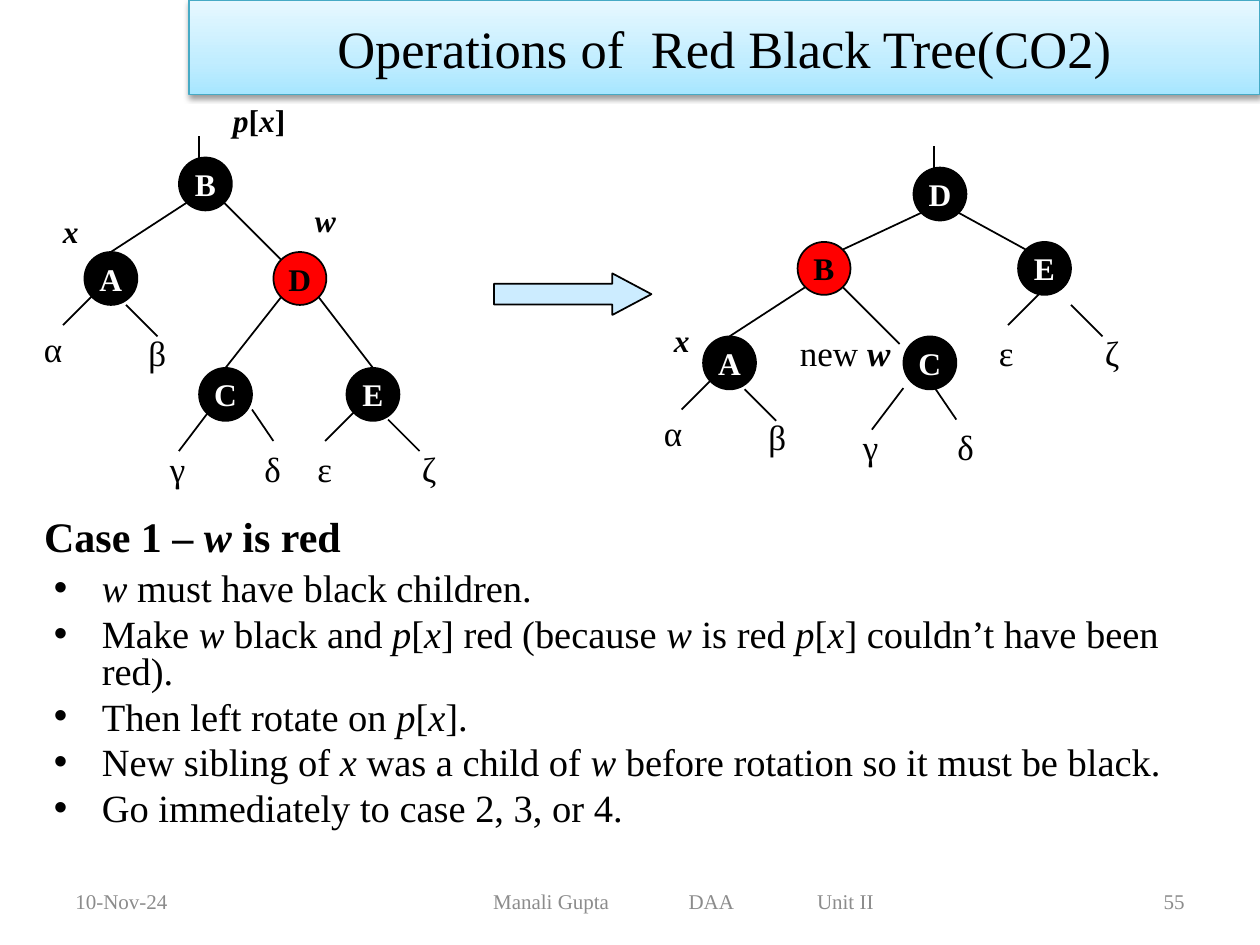
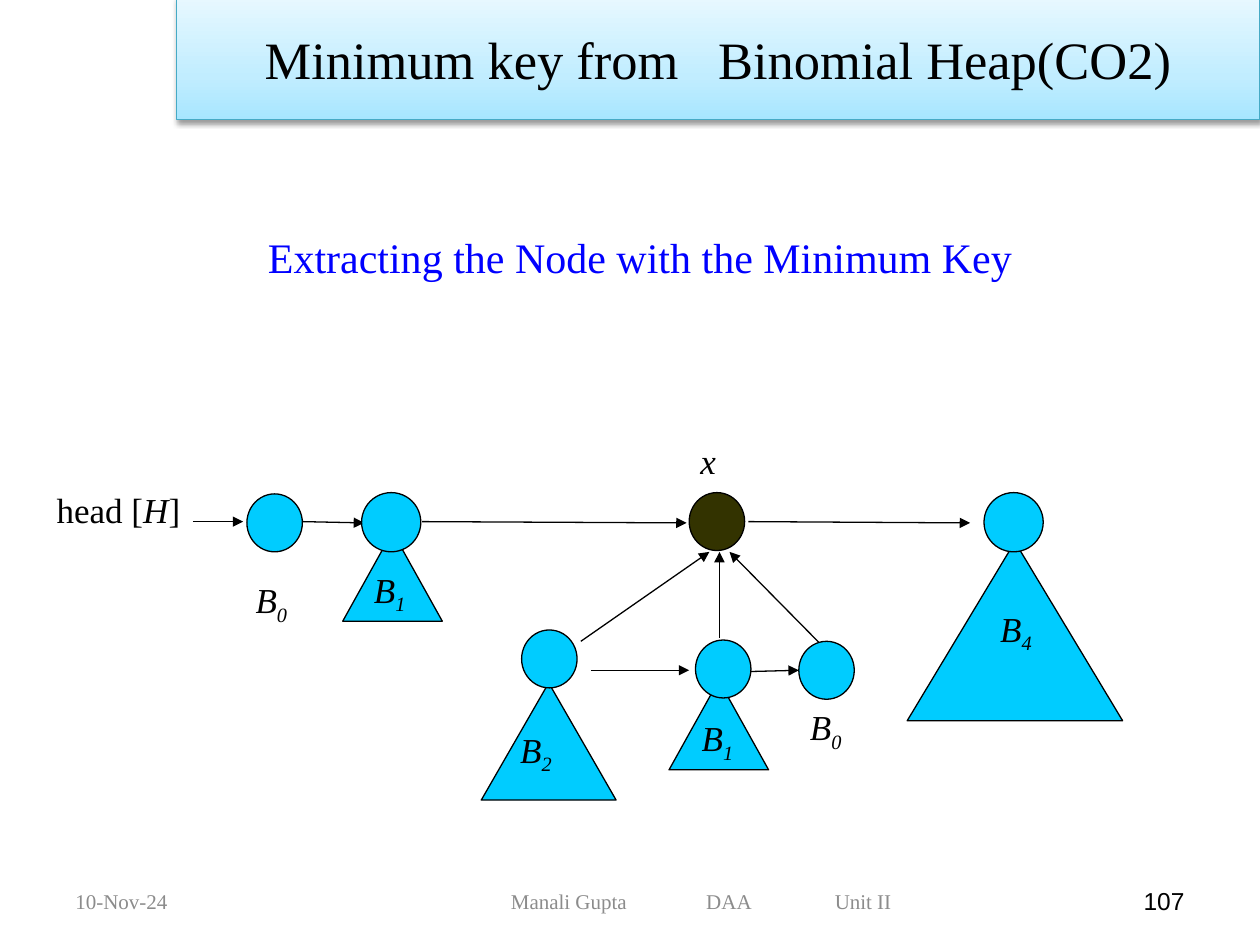
from dataclasses import dataclass

from lxml import etree
from pptx import Presentation
from pptx.dml.color import RGBColor
from pptx.enum.shapes import MSO_CONNECTOR, MSO_SHAPE
from pptx.enum.text import MSO_ANCHOR, MSO_AUTO_SIZE, PP_ALIGN
from pptx.oxml import parse_xml
from pptx.oxml.ns import nsdecls, qn
from pptx.util import Inches, Pt

SERIF = "Times New Roman"
BLACK, WHITE, RED = "000000", "FFFFFF", "FF0000"
GREY, BLUE, HEAP_BLUE, DARK_NODE = "8C8C8C", "0000FF", "00CCFF", "333300"
ARROW_BLUE, BANNER_LINE = "CCECFF", "46AAC5"
BANNER_STOPS = [(0, "A7E6FF"), (35, "C1EDFF"), (100, "E7F8FF")]
FOOTER_TEXT_WIDTH = 3.01
FOOTER_TABS = [1.55, 2.57]
NODE_SIZE = 0.42
TOP, NEAR_LEFT, NEAR_RIGHT = (0.21, 0), (0.06, 0.06), (0.36, 0.06)


@dataclass
class Box:
    left: float
    top: float
    width: float
    height: float

    def inner(self, left, top, width=0, height=0):
        """A box placed relative to this one."""
        return Box(self.left + left, self.top + top, width, height)

    def lengths(self):
        return [Inches(v) for v in (self.left, self.top, self.width, self.height)]


def colour(value):
    return RGBColor.from_string(value)


def style_run(run, size, text_colour=BLACK, bold=False, italic=False, font=SERIF):
    run.font.name = font
    run.font.size = Pt(size)
    run.font.bold = bold
    run.font.italic = italic
    run.font.color.rgb = colour(text_colour)


def write(paragraph, text, size, text_colour=BLACK, bold=False, font=SERIF):
    """Write text in which asterisks switch italics on and off."""
    for index, piece in enumerate(text.split("*")):
        if piece:
            run = paragraph.add_run()
            run.text = piece
            style_run(run, size, text_colour, bold, index % 2 == 1, font)


def add_text(slide, box, text, size, text_colour=BLACK, bold=False, font=SERIF,
             align=PP_ALIGN.LEFT, anchor=MSO_ANCHOR.TOP, wrap=False):
    text_frame = slide.shapes.add_textbox(*box.lengths()).text_frame
    text_frame.word_wrap = wrap
    text_frame.vertical_anchor = anchor
    text_frame.paragraphs[0].alignment = align
    write(text_frame.paragraphs[0], text, size, text_colour, bold, font)
    return text_frame


def add_preset(slide, kind, box, fill, line=BLACK, line_width=1.0):
    shape = slide.shapes.add_shape(kind, *box.lengths())
    shape.shadow.inherit = False
    if fill:
        shape.fill.solid()
        shape.fill.fore_color.rgb = colour(fill)
    shape.line.color.rgb = colour(line)
    shape.line.width = Pt(line_width)
    return shape


def add_line(slide, box, start, end, width=1.0, arrow=False):
    first, last = box.inner(*start), box.inner(*end)
    connector = slide.shapes.add_connector(
        MSO_CONNECTOR.STRAIGHT, Inches(first.left), Inches(first.top),
        Inches(last.left), Inches(last.top))
    connector.line.color.rgb = colour(BLACK)
    connector.line.width = Pt(width)
    properties = connector._element.spPr
    if arrow:
        etree.SubElement(properties.find(qn("a:ln")), qn("a:tailEnd"), type="triangle")
    etree.SubElement(properties, qn("a:effectLst"))


def add_banner(slide, box, before, after, extra_gap):
    """Gradient title band; extra_gap in points widens the space between its texts."""
    banner = add_preset(slide, MSO_SHAPE.RECTANGLE, box, None, BANNER_LINE, 0.75)
    banner.fill.gradient()
    properties = banner._element.spPr
    stops = "".join(f'<a:gs pos="{position * 1000}"><a:srgbClr val="{value}"/></a:gs>'
                    for position, value in BANNER_STOPS)
    gradient = parse_xml(f'<a:gradFill {nsdecls("a")} rotWithShape="1"><a:gsLst>{stops}'
                         '</a:gsLst><a:lin ang="16200000" scaled="0"/></a:gradFill>')
    properties.replace(properties.find(qn("a:gradFill")), gradient)
    shadow = parse_xml(
        f'<a:effectLst {nsdecls("a")}><a:outerShdw blurRad="40000" dist="20000" dir="5400000" '
        'rotWithShape="0"><a:srgbClr val="000000"><a:alpha val="38000"/></a:srgbClr>'
        '</a:outerShdw></a:effectLst>')
    properties.replace(properties.find(qn("a:effectLst")), shadow)
    banner.text_frame.vertical_anchor = MSO_ANCHOR.MIDDLE
    paragraph = banner.text_frame.paragraphs[0]
    paragraph.alignment = PP_ALIGN.CENTER
    for text in (before, " ", after):
        write(paragraph, text, 30)
    paragraph.runs[1].font._element.set("spc", str(round(extra_gap * 100)))


def add_footer(slide, number, centre_width, number_size=12, number_colour=GREY,
               number_font=SERIF):
    row = Box(0.5, 6.95, 9, 0.4)
    middle = {"anchor": MSO_ANCHOR.MIDDLE, "wrap": True}
    add_text(slide, row.inner(0, 0, 2.33, 0.4), "10-Nov-24", 12, GREY, **middle)
    add_text(slide, row.inner(6.67, 0, 2.33, 0.4), number, number_size, number_colour,
             font=number_font, align=PP_ALIGN.RIGHT, **middle)
    text_frame = add_text(slide, row.inner(2.92, 0, centre_width, 0.4), "", 12, **middle)
    text_frame.margin_left = Inches((centre_width - FOOTER_TEXT_WIDTH) / 2)
    text_frame.margin_right = 0
    paragraph = text_frame.paragraphs[0]
    tabs = etree.SubElement(paragraph._p.get_or_add_pPr(), qn("a:tabLst"))
    for position in FOOTER_TABS:
        etree.SubElement(tabs, qn("a:tab"), pos=str(Inches(position)), algn="l")
    write(paragraph, "Manali Gupta\tDAA\tUnit II", 12, GREY)


def format_title(slide, box, text, size, text_colour=BLACK, bold=False,
                 align=PP_ALIGN.LEFT):
    title = slide.shapes.title
    title.left, title.top, title.width, title.height = box.lengths()
    text_frame = title.text_frame
    text_frame.auto_size = MSO_AUTO_SIZE.NONE
    text_frame.vertical_anchor = MSO_ANCHOR.MIDDLE
    text_frame.paragraphs[0].alignment = align
    write(text_frame.paragraphs[0], text, size, text_colour, bold)


def add_bullets(slide, box, items):
    text_frame = add_text(slide, box, "", 22, wrap=True)
    for index, item in enumerate(items):
        paragraph = text_frame.add_paragraph() if index else text_frame.paragraphs[0]
        properties = paragraph._p.get_or_add_pPr()
        properties.set("marL", str(Inches(0.38)))
        properties.set("indent", str(-Inches(0.38)))
        etree.SubElement(properties, qn("a:buFont"), typeface="Arial")
        etree.SubElement(properties, qn("a:buChar"), char="•")
        paragraph.line_spacing = 0.8
        if index:
            paragraph.space_before = Pt(5)
        write(paragraph, item, 22)


def add_red_black_tree(slide, box, nodes, root, red, edges, twigs, leaves):
    """Nodes by name; edges end at an offset in the child, twigs start at one in a node."""
    def spot(name, offset):
        return nodes[name][0] + offset[0], nodes[name][1] + offset[1]

    add_line(slide, box, spot(root, (0.16, -0.17)), spot(root, (0.16, 0)))
    for parent, child, end in edges:
        side = 0.06 if nodes[child][0] < nodes[parent][0] else 0.36
        add_line(slide, box, spot(parent, (side, 0.36)), spot(child, end))
    for name, start, (across, down) in twigs:
        x, y = spot(name, start)
        add_line(slide, box, (x, y), (x + across, y + down))
    for name, position in nodes.items():
        node = add_preset(slide, MSO_SHAPE.OVAL, box.inner(*position, NODE_SIZE, NODE_SIZE),
                          RED if name == red else BLACK)
        node.text_frame.word_wrap = False
        node.text_frame.vertical_anchor = MSO_ANCHOR.MIDDLE
        node.text_frame.paragraphs[0].alignment = PP_ALIGN.CENTER
        write(node.text_frame.paragraphs[0], name, 18, BLACK if name == red else WHITE, True)
    for letter, (x, y, width) in zip("αβγδεζ", leaves):
        add_text(slide, box.inner(x, y, width, 0.43), letter, 20)


def add_heap_node(slide, box, node, fill=HEAP_BLUE, triangle=None, degree=None, label=None):
    """Node circle with an optional subtree triangle and label B with its degree."""
    if triangle:
        add_preset(slide, MSO_SHAPE.ISOSCELES_TRIANGLE, box.inner(*triangle), HEAP_BLUE,
                   line_width=0.75)
    add_preset(slide, MSO_SHAPE.OVAL, box.inner(*node), fill, line_width=0.75)
    if label:
        paragraph = add_text(slide, box.inner(*label, 0.43), "*B*", 20).paragraphs[0]
        write(paragraph, f"*{degree}*", 20)
        paragraph.runs[1].font._element.set("baseline", "-25000")


def build_red_black_slide(slide):
    format_title(slide, Box(0.25, 3.87, 10, 0.77), "Case 1 – *w* is red", 24, bold=True)
    add_bullets(slide, Box(0.33, 4.5, 9.25, 2.42), [
        "*w *must have black children.",
        "Make *w *black and *p*[*x*] red (because *w* is red *p*[*x*] couldn’t have been red).",
        "Then left rotate on *p*[*x*].",
        "New sibling of *x *was a child of *w *before rotation so it must be black.",
        "Go immediately to case 2, 3, or 4.",
    ])
    down_left, down_right = (-0.25, 0.25), (0.25, 0.25)
    steep_left, steep_right = (-0.25, 0.33), (0.17, 0.25)
    twigs_of_a = [("A", (0.08, 0.33), down_left), ("A", (0.33, 0.42), down_right)]

    before = Box(0.25, 0.75, 3.4, 3.2)
    add_red_black_tree(
        slide, before,
        {"B": (1.17, 0.5), "A": (0.42, 1.25), "D": (1.92, 1.25),
         "C": (1.33, 2.17), "E": (2.5, 2.17)},
        "B", "D",
        [("B", "A", TOP), ("B", "D", NEAR_LEFT), ("D", "C", TOP), ("D", "E", TOP)],
        twigs_of_a + [("C", (0.09, 0.33), steep_left), ("C", (0.42, 0.33), steep_right),
                      ("E", (0.08, 0.33), down_left), ("E", (0.33, 0.41), down_right)],
        [(0, 1.8, 0.38), (0.83, 1.83, 0.35), (1, 2.75, 0.32),
         (1.75, 2.75, 0.34), (2.17, 2.75, 0.32), (3, 2.75, 0.34)])
    after = Box(5.17, 1.17, 3.9, 2.6)
    add_red_black_tree(
        slide, after,
        {"D": (2.08, 0.16), "B": (1.16, 0.75), "A": (0.41, 1.5),
         "C": (2, 1.5), "E": (2.91, 0.75)},
        "D", "B",
        [("D", "B", NEAR_RIGHT), ("D", "E", NEAR_LEFT), ("B", "A", TOP),
         ("B", "C", (-0.03, 0.06))],
        twigs_of_a + [("C", (0, 0.41), steep_left), ("C", (0.25, 0.41), steep_right),
                      ("E", (0.17, 0.41), down_left), ("E", (0.42, 0.5), down_right)],
        [(0, 2.05, 0.38), (0.83, 2.08, 0.35), (1.58, 2.16, 0.32),
         (2.33, 2.16, 0.34), (2.66, 1.41, 0.32), (3.5, 1.41, 0.34)])
    for tree, text, x, y, width in [(before, "*x*", 0.15, 0.88, 0.37),
                                    (before, "*w*", 2.15, 0.8, 0.42),
                                    (before, "*p*[*x*]", 1.5, 0, 0.76),
                                    (after, "*x*", 0.08, 1.33, 0.37)]:
        add_text(slide, tree.inner(x, y, width, 0.5), text, 18, bold=True)
    new_sibling = add_text(slide, after.inner(1.08, 1.41, 1, 0.43), "new *w*", 20)
    new_sibling.paragraphs[0].runs[1].font.bold = True

    rotation = add_preset(slide, MSO_SHAPE.RIGHT_ARROW, Box(3.92, 2.17, 1.25, 0.33), ARROW_BLUE)
    rotation.adjustments[0], rotation.adjustments[1] = 0.5, 0.94
    add_footer(slide, "55", 4)
    add_banner(slide, Box(1.5, 0, 8.5, 0.75), "Operations of", "Red Black Tree(CO2)", 7.5)


def add_heap_diagram(slide, box):
    for start, end in [
        ((1.18, 0.7), (1.58, 0.7)), ((2.05, 0.7), (2.54, 0.71)), ((3, 0.7), (5.1, 0.71)),
        ((5.59, 0.7), (7.35, 0.71)), ((4.34, 1.88), (5.12, 1.88)),
        ((5.59, 1.89), (5.99, 1.88)), ((4.26, 1.65), (5.28, 0.94)),
        ((5.36, 1.62), (5.36, 0.94)), ((6.2, 1.71), (5.44, 0.94)),
    ]:
        add_line(slide, box, start, end, 0.75, arrow=True)
    add_text(slide, box.inner(0, 0.39, 1.18, 0.43), "head [*H*]", 20)
    add_text(slide, box.inner(5.11, 0, 0.32, 0.43), "*x*", 20)
    small, large = (0.44, 0.46), (0.47, 0.47)
    add_heap_node(slide, box, (5.12, 0.47, *small), DARK_NODE)
    for node, triangle, degree, label in [
        ((1.61, 0.48, *small), None, 0, (1.58, 1.1, 0.46)),
        ((2.52, 0.47, *large), (2.37, 0.78, 0.79, 0.71), 1, (2.52, 1.02, 0.46)),
        ((3.79, 1.56, *small), (3.47, 1.98, 1.07, 0.93), 2, (3.68, 2.29, 0.46)),
        ((5.17, 1.64, *small), (4.96, 1.96, 0.79, 0.71), 1, (5.12, 2.2, 0.46)),
        ((5.99, 1.65, *small), None, 0, (5.98, 2.11, 0.46)),
        ((7.46, 0.47, *large), (6.85, 0.86, 1.71, 1.42), 4, (7.49, 1.33, 0.46)),
    ]:
        add_heap_node(slide, box, node, triangle=triangle, degree=degree, label=label)


def build_heap_slide(slide):
    format_title(slide, Box(0.08, 1.41, 10, 1.25), "Extracting the Node with the Minimum Key",
                 24, BLUE, align=PP_ALIGN.CENTER)
    add_heap_diagram(slide, Box(0.35, 3.44, 8.56, 2.91))
    add_footer(slide, "107", 4.28, 14, BLACK, "Arial")
    add_banner(slide, Box(1.4, -0.02, 8.6, 0.97), "Minimum key from", "Binomial Heap(CO2)", 15)


def main():
    presentation = Presentation()
    presentation.slide_width, presentation.slide_height = Inches(10), Inches(7.5)
    title_only = presentation.slide_layouts[5]
    for build in (build_red_black_slide, build_heap_slide):
        build(presentation.slides.add_slide(title_only))
    presentation.save("out.pptx")


if __name__ == "__main__":
    main()
